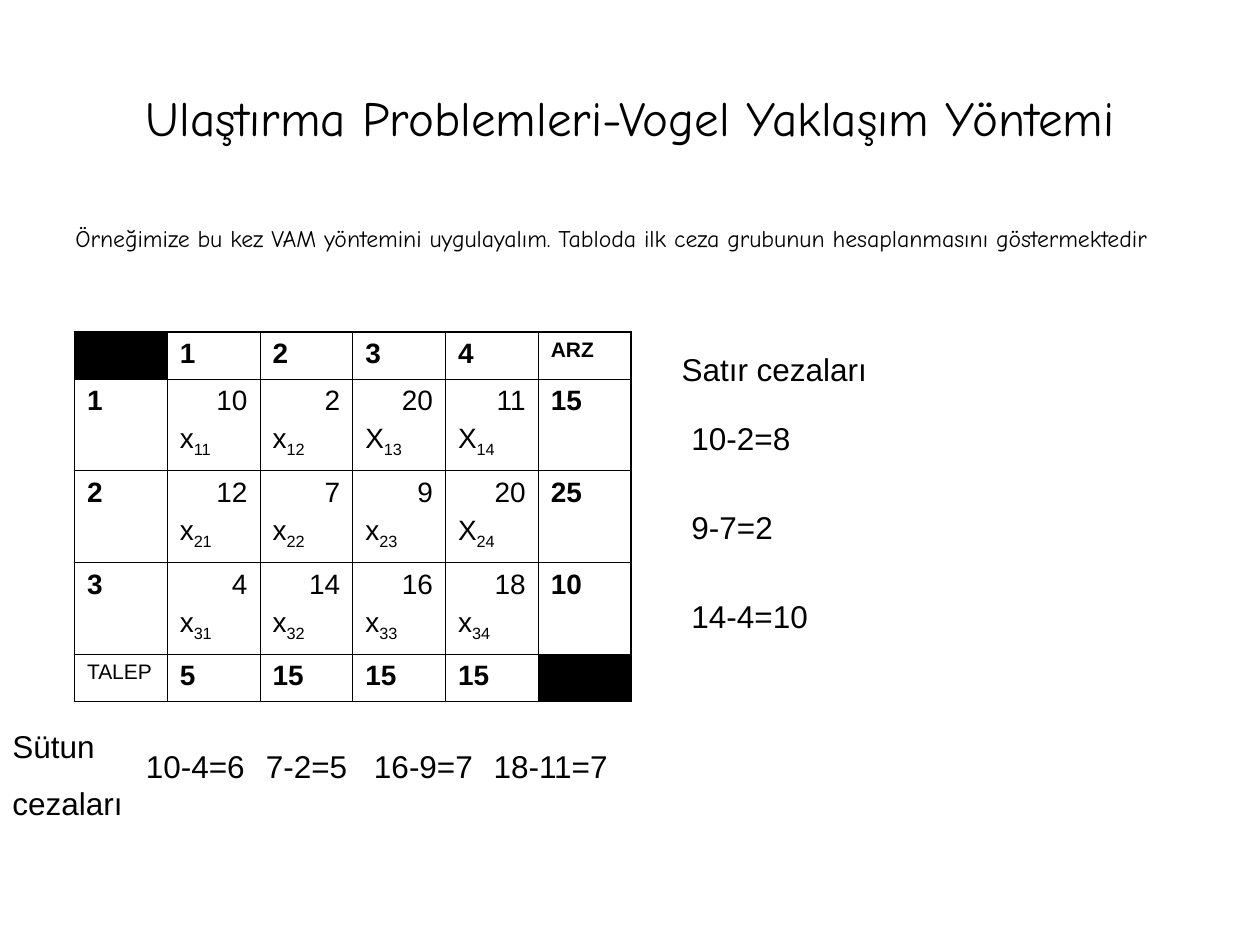
"""Build the slide on the first penalties of Vogel's approximation method."""
from lxml.etree import SubElement
from pptx import Presentation
from pptx.dml.color import RGBColor
from pptx.enum.text import MSO_ANCHOR, PP_ALIGN
from pptx.oxml.ns import qn
from pptx.util import Cm, Pt

COLORS = {"ink": "000000", "paper": "FFFFFF"}
INK = RGBColor.from_string(COLORS["ink"])


def style(p, size, before=0, font="Arial", bold=False, align=PP_ALIGN.LEFT):
    p.alignment = align
    p.space_before = Pt(before)
    p.font.name = font
    p.font.size = Pt(size)
    p.font.bold = bold
    p.font.color.rgb = INK


def add_text(s, x, y, w, h, lines, size=18, before=11.2, **look):
    tf = s.shapes.add_textbox(Cm(x), Cm(y), Cm(w), Cm(h)).text_frame
    tf.word_wrap = True
    tf.text = "\n".join(lines)
    for p in tf.paragraphs:
        style(p, size, before, **look)
    return tf


prs = Presentation()
prs.slide_width, prs.slide_height = Cm(25.4), Cm(19.05)
s = prs.slides.add_slide(prs.slide_layouts[6])
s.background.fill.solid()
s.background.fill.fore_color.rgb = RGBColor.from_string(COLORS["paper"])

title = add_text(s, 1.27, 0.76, 22.86, 3.18,
                 ["Ulaştırma Problemleri-Vogel Yaklaşım Yöntemi"],
                 28, 0, font="Comic Neue", align=PP_ALIGN.CENTER)
title.vertical_anchor = MSO_ANCHOR.MIDDLE

intro = add_text(s, 1.27, 4.45, 23.24, 1.47,
                 ["Örneğimize bu kez VAM yöntemini uygulayalım. "
                  "Tabloda ilk ceza grubunun hesaplanmasını göstermektedir"],
                 13.6, 4, font="Comic Neue", align=PP_ALIGN.JUSTIFY)
intro.paragraphs[0].line_spacing = 0.9

rows = [
    ["", "1", "2", "3", "4", "ARZ"],
    ["1", ("10", "x"), ("2", "x"), ("20", "X"), ("11", "X"), "15"],
    ["2", ("12", "x"), ("7", "x"), ("9", "x"), ("20", "X"), "25"],
    ["3", ("4", "x"), ("14", "x"), ("16", "x"), ("18", "x"), "10"],
    ["TALEP", "5", "15", "15", "15", ""],
]
row_heights = [0.95, 1.85, 1.85, 1.85, 0.95]
last_row, last_col = len(rows) - 1, len(rows[0]) - 1
table = s.shapes.add_table(len(rows), len(rows[0]), Cm(1.5), Cm(6.69),
                           Cm(11.22), Cm(sum(row_heights))).table
table.first_row = table.horz_banding = False
for col in table.columns:
    col.width = Cm(1.87)

for i, row in enumerate(rows):
    table.rows[i].height = Cm(row_heights[i])
    for j, value in enumerate(row):
        cell = table.cell(i, j)
        outer_edges = {"a:lnL": j == 0, "a:lnR": j == last_col,
                       "a:lnT": i == 0, "a:lnB": i == last_row}
        for tag, outer in outer_edges.items():
            ln = SubElement(cell._tc.get_or_add_tcPr(), qn(tag),
                            w=str(Pt(1.08 if outer else 0.45)))
            SubElement(SubElement(ln, qn("a:solidFill")), qn("a:srgbClr"),
                       val=COLORS["ink"])
        if value:
            cell.fill.background()
        else:
            cell.fill.solid()
            cell.fill.fore_color.rgb = INK

        tf = cell.text_frame
        p = tf.paragraphs[0]
        if isinstance(value, tuple):
            cost, variable = value
            p.text = cost
            style(p, 16, 4, align=PP_ALIGN.RIGHT)
            p = tf.add_paragraph()
            p.text = variable
            style(p, 16, 4)
            r = p.add_run()
            r.text = f"{i}{j}"
            r.font._element.set("baseline", "-25000")
        else:
            p.text = value
            label = value in ("ARZ", "TALEP")
            style(p, 12 if label else 16, 3 if label else 4, bold=value != "TALEP")

add_text(s, 13.49, 6.93, 5.41, 1.02, ["Satır cezaları"])
for i, penalty in enumerate(["10-2=8", "9-7=2", "14-4=10"]):
    add_text(s, 13.69, 8.33 + 1.79 * i, 3.81, 1.02, [penalty])

add_text(s, 0, 14.53, 3.2, 2.18, ["Sütun", "cezaları"])
column_penalties = {"10-4=6": 2.69, "7-2=5": 5.11, "16-9=7": 7.29, "18-11=7": 9.7}
for penalty, x in column_penalties.items():
    add_text(s, x, 14.94, 3.81, 1.02, [penalty])

prs.save("out.pptx")
